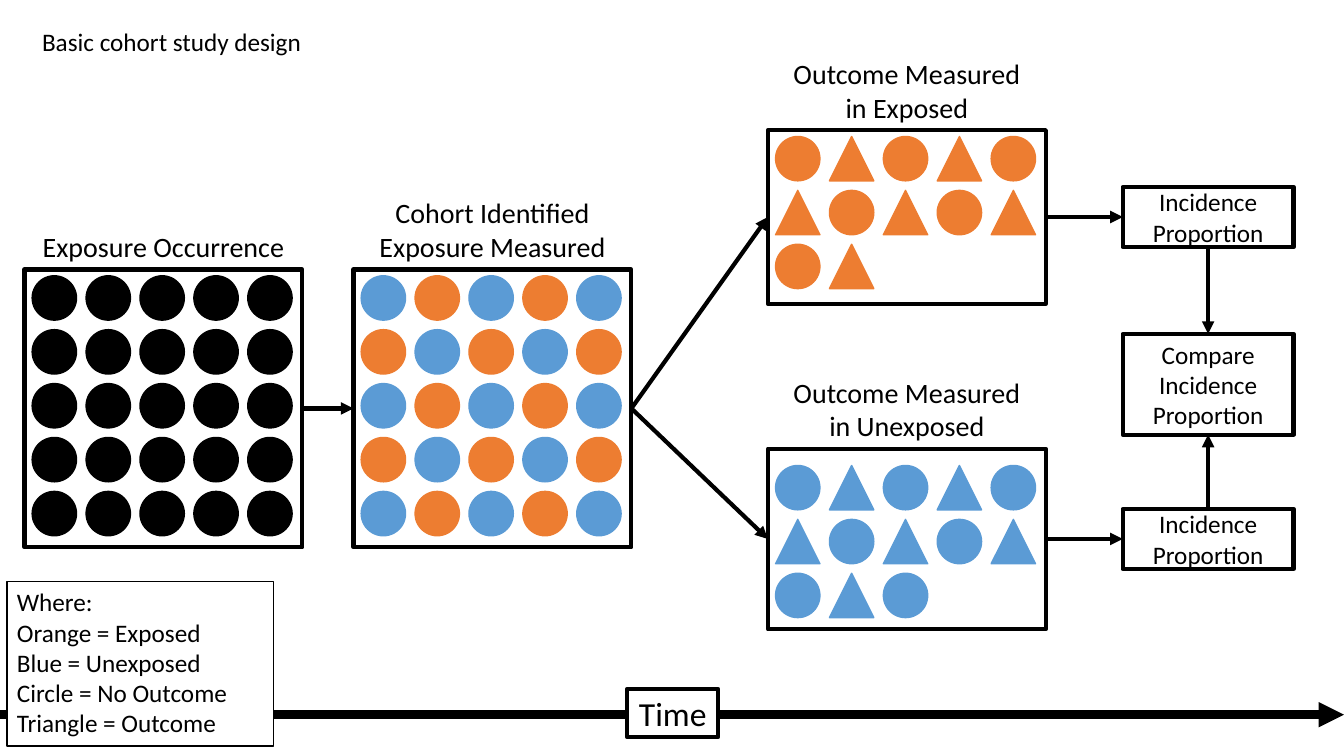
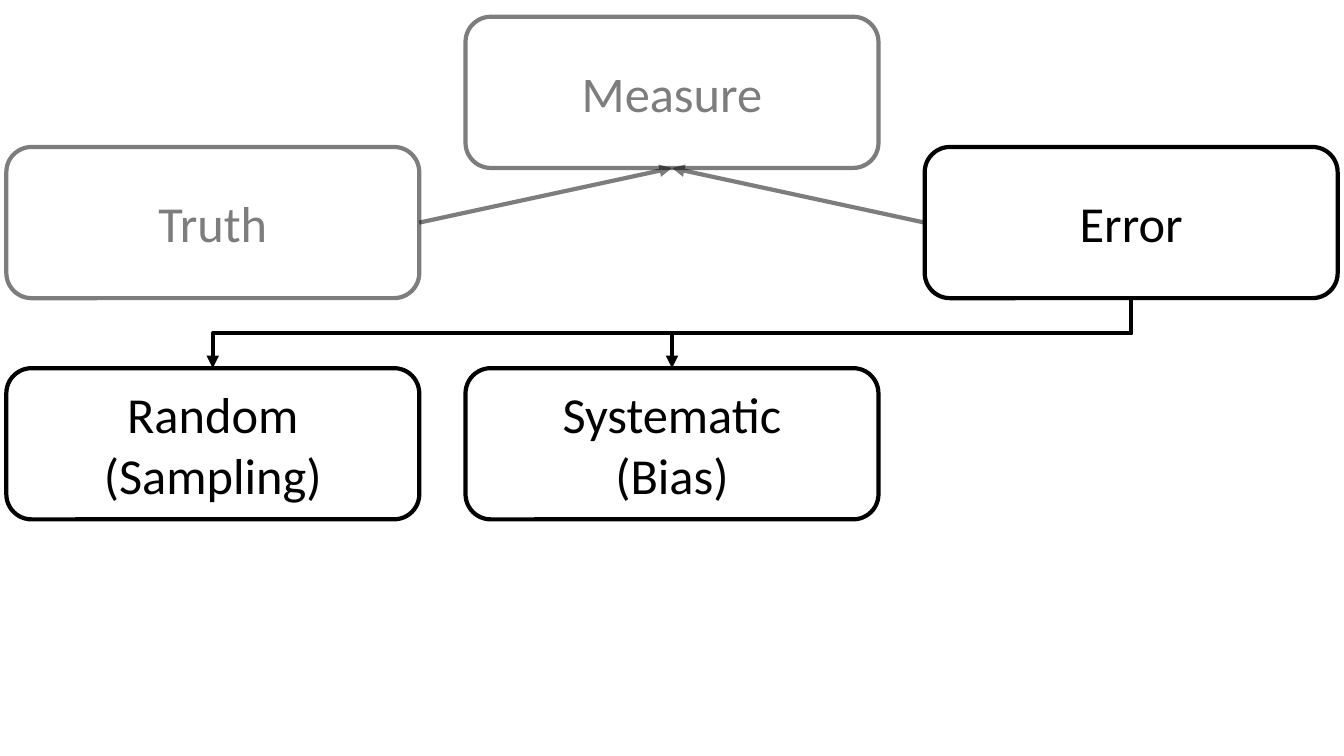
import pptx
import pptx.dml.color
import pptx.enum.shapes
import pptx.enum.text
import pptx.oxml
import pptx.oxml.ns
import pptx.util

Pt = pptx.util.Pt
SHAPE = pptx.enum.shapes.MSO_SHAPE
CONNECTOR = pptx.enum.shapes.MSO_CONNECTOR
ALIGN = pptx.enum.text.PP_ALIGN
ANCHOR = pptx.enum.text.MSO_ANCHOR
qn = pptx.oxml.ns.qn

COLORS = {"ink": "000000", "paper": "FFFFFF", "exposed": "ED7D31", "unexposed": "5B9BD5"}
FONT = "Calibri"
TOP, LEFT, BOTTOM, RIGHT = range(4)  # connection sites of a rectangle

SYMBOLS = {
    "k": (SHAPE.OVAL, "ink"),
    "o": (SHAPE.OVAL, "exposed"),
    "O": (SHAPE.ISOSCELES_TRIANGLE, "exposed"),
    "b": (SHAPE.OVAL, "unexposed"),
    "B": (SHAPE.ISOSCELES_TRIANGLE, "unexposed"),
}
SYMBOL_SIZE, SYMBOL_PITCH = 31.7, 38.5
PANEL_WIDTH = 198.5


def rgb(name):
    return pptx.dml.color.RGBColor.from_string(COLORS[name])


def write(frame, lines, size, align=ALIGN.CENTER, anchor=ANCHOR.MIDDLE, wrap=True):
    frame.word_wrap = wrap
    frame.vertical_anchor = anchor
    frame.text = "\n".join(lines)
    for paragraph in frame.paragraphs:
        paragraph.alignment = align
        paragraph.font.name = FONT
        paragraph.font.size = Pt(size)
        paragraph.font.color.rgb = rgb("ink")


def add_label(shapes, x, y, width, lines, size, align=ALIGN.CENTER):
    height = len(lines) * size * 1.2 + 7.2
    label = shapes.add_textbox(Pt(x), Pt(y), Pt(width), Pt(height))
    write(label.text_frame, lines, size, align, ANCHOR.TOP, wrap=False)


def add_outlined(shapes, kind, x, y, width, height, fill=None, line="ink", weight=3):
    shape = shapes.add_shape(kind, Pt(x), Pt(y), Pt(width), Pt(height))
    shape.shadow.inherit = False
    if fill:
        shape.fill.solid()
        shape.fill.fore_color.rgb = rgb(fill)
    else:
        shape.fill.background()
    shape.line.color.rgb = rgb(line)
    shape.line.width = Pt(weight)
    return shape


def add_box(slide, x, y, width, height, lines, size=18, fill=None):
    box = add_outlined(slide.shapes, SHAPE.RECTANGLE, x, y, width, height, fill)
    write(box.text_frame, lines, size)
    return box


def add_panel(slide, x, y, height, heading, rows, inset=4.5):
    """Group a heading, a frame and a grid of people; return the frame."""
    shapes = slide.shapes.add_group_shape().shapes
    heading_height = len(heading) * 24 + 7.2
    add_label(shapes, x, y - heading_height - 1, PANEL_WIDTH, heading, 20)
    frame = add_outlined(shapes, SHAPE.RECTANGLE, x, y, PANEL_WIDTH, height)
    for row, people in enumerate(rows):
        for column, person in enumerate(people):
            kind, color = SYMBOLS[person]
            add_outlined(shapes, kind, x + 5.5 + column * SYMBOL_PITCH,
                         y + inset + row * SYMBOL_PITCH,
                         SYMBOL_SIZE, SYMBOL_SIZE, color, color, 1)
    return frame


def add_arrow(slide, kind=CONNECTOR.STRAIGHT, ends=(0, 0, 0, 0), weight=3):
    arrow = slide.shapes.add_connector(kind, *map(Pt, ends))
    arrow.line.color.rgb = rgb("ink")
    arrow.line.width = Pt(weight)
    outline = arrow.line._get_or_add_ln()
    outline.append(pptx.oxml.parse_xml(
        f'<a:tailEnd {pptx.oxml.ns.nsdecls("a")} type="triangle"/>'))
    arrow._element.spPr.append(pptx.oxml.parse_xml(
        f'<a:effectLst {pptx.oxml.ns.nsdecls("a")}/>'))
    return arrow


def connect(slide, start, start_site, end, end_site, kind=CONNECTOR.STRAIGHT):
    arrow = add_arrow(slide, kind)
    arrow.begin_connect(start, start_site)
    arrow.end_connect(end, end_site)
    return arrow


def connect_down(slide, start, end):
    """Elbow from the bottom of start to the top of end, which lies to its left."""
    arrow = connect(slide, start, BOTTOM, end, TOP, CONNECTOR.ELBOW)
    across, down = arrow.width, arrow.height
    arrow.left += (across - down) // 2
    arrow.top += (down - across) // 2
    arrow.width, arrow.height = down, across
    transform = arrow._element.spPr.xfrm
    transform.flipH = False
    transform.rot = 90


def fade(shape):
    for color in shape._element.iter(qn("a:srgbClr")):
        color.append(pptx.oxml.parse_xml(
            f'<a:alpha {pptx.oxml.ns.nsdecls("a")} val="51000"/>'))


def build_cohort_design(slide):
    add_arrow(slide, ends=(0, 510.5, 960, 510.5), weight=6)
    add_box(slide, 448, 492, 65, 34.5, ["Time"], 24, "paper")
    add_label(slide.shapes, 23, 15, 201.5, ["Basic cohort study design"], 18, ALIGN.LEFT)

    occurrence = add_panel(slide, 17.5, 192.5, 198.5, ["Exposure Occurrence"], ["kkkkk"] * 5)
    cohort = add_panel(slide, 252.5, 192.5, 198.5, ["Cohort Identified", "Exposure Measured"],
                       ["bobob", "obobo"] * 2 + ["bobob"])
    exposed = add_panel(slide, 548.5, 93, 124, ["Outcome Measured", "in Exposed"],
                        ["oOoOo", "OoOoO", "oO"])
    unexposed = add_panel(slide, 548.5, 320.5, 129, ["Outcome Measured", "in Unexposed"],
                          ["bBbBb", "BbBbB", "bBb"], inset=12)
    compare = add_box(slide, 802, 238.5, 122, 72, ["Compare Incidence Proportion"])

    connect(slide, occurrence, RIGHT, cohort, LEFT)
    for outcome, y, exit_site, entry_site in (
            (exposed, 133.5, BOTTOM, TOP), (unexposed, 363.5, TOP, BOTTOM)):
        incidence = add_box(slide, 802, y, 122, 43, ["Incidence Proportion"])
        connect(slide, cohort, RIGHT, outcome, LEFT)
        connect(slide, outcome, RIGHT, incidence, LEFT)
        connect(slide, incidence, exit_site, compare, entry_site)

    legend = add_outlined(slide.shapes, SHAPE.RECTANGLE, 5, 415.5, 190.5, 117.5,
                          "paper", weight=1)
    write(legend.text_frame,
          ["Where:", "Orange = Exposed", "Blue = Unexposed",
           "Circle = No Outcome", "Triangle = Outcome"],
          18, ALIGN.LEFT, ANCHOR.TOP)


def build_error_tree(slide):
    def add_node(column, y, *lines):
        node = add_outlined(slide.shapes, SHAPE.ROUNDED_RECTANGLE,
                            4.5 + column * 328, y, 295, 108)
        write(node.text_frame, lines, 36)
        return node

    measure = add_node(1, 12, "Measure")
    truth = add_node(0, 105, "Truth")
    error = add_node(2, 105, "Error")
    random_error = add_node(0, 263, "Random", "(Sampling)")
    systematic_error = add_node(1, 263, "Systematic", "(Bias)")

    from_error = connect(slide, error, LEFT, measure, BOTTOM)
    from_truth = connect(slide, truth, RIGHT, measure, BOTTOM)
    for part in (measure, truth, from_error, from_truth):
        fade(part)
    for source in (random_error, systematic_error):
        connect_down(slide, error, source)


def main():
    deck = pptx.Presentation()
    deck.slide_width, deck.slide_height = Pt(960), Pt(540)
    for build in (build_cohort_design, build_error_tree):
        build(deck.slides.add_slide(deck.slide_layouts[6]))
    deck.save("out.pptx")


if __name__ == "__main__":
    main()
